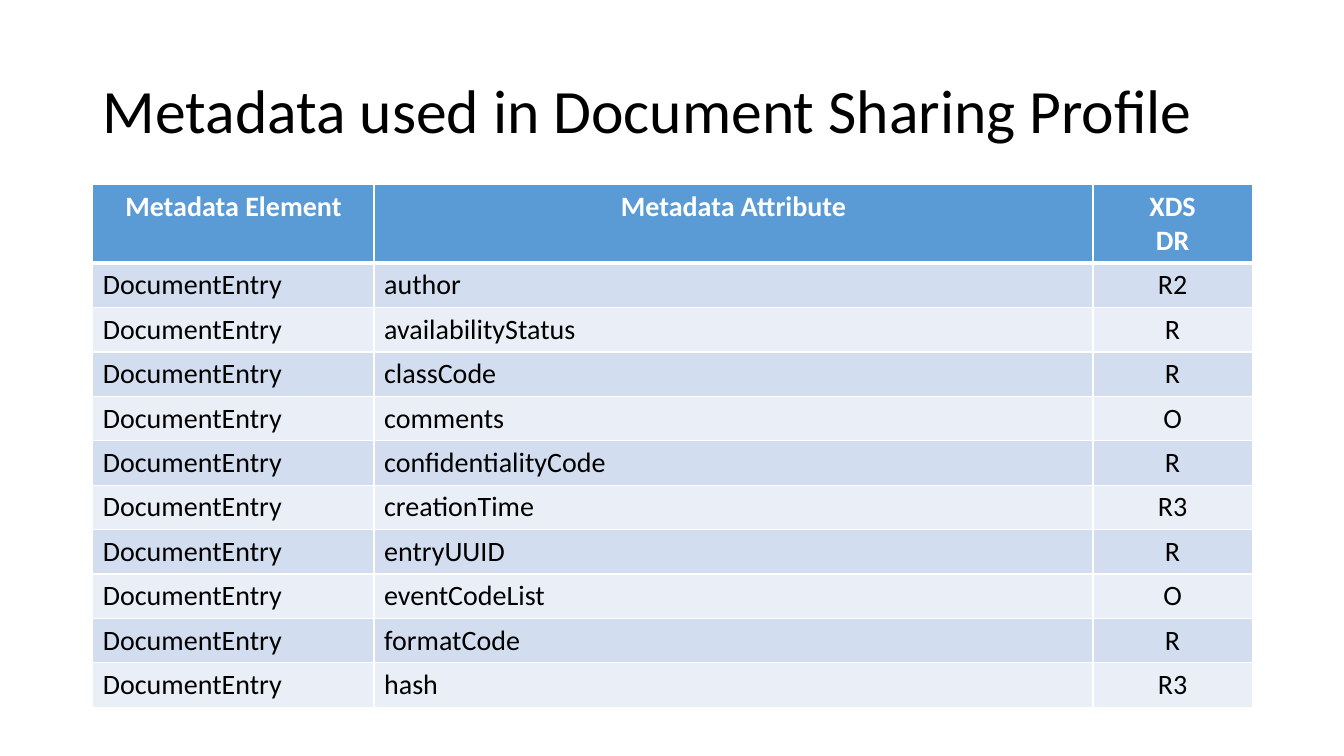
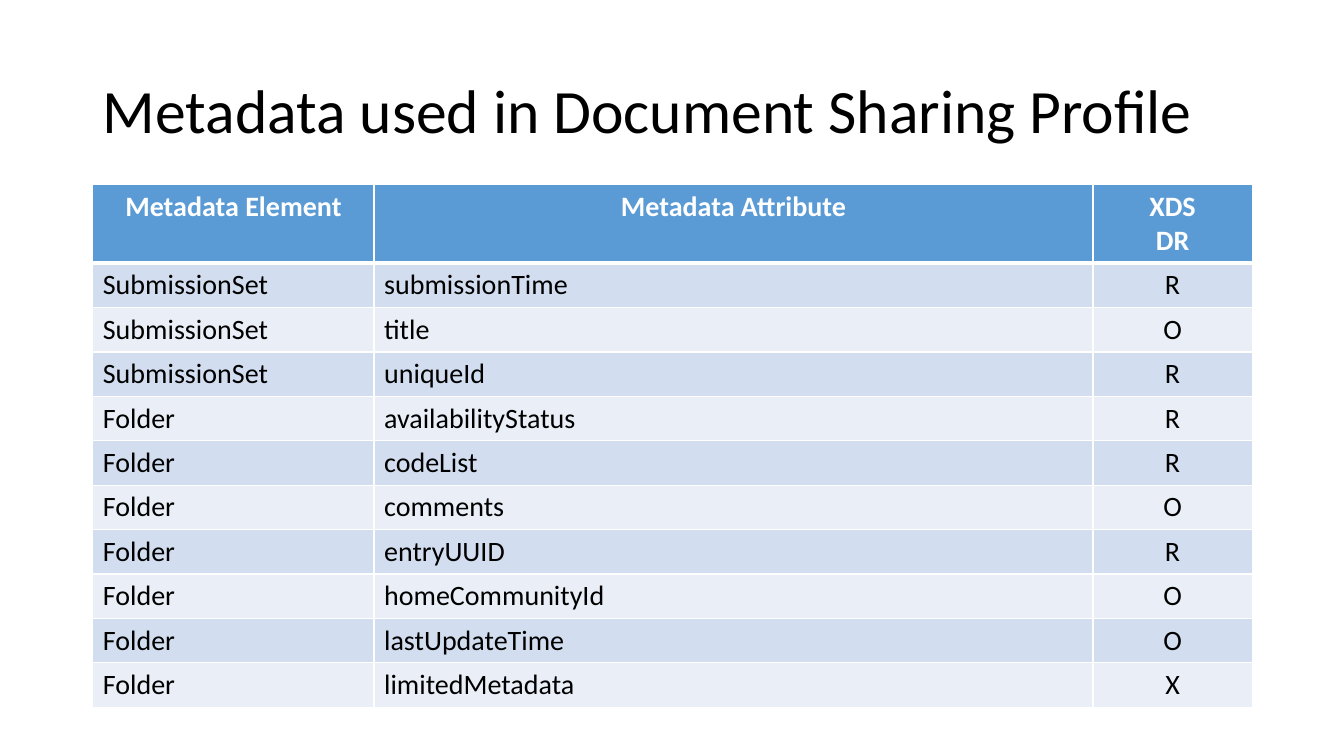
from lxml.etree import SubElement
from pptx import Presentation
from pptx.dml.color import RGBColor
from pptx.enum.text import MSO_ANCHOR, PP_ALIGN
from pptx.oxml.ns import qn
from pptx.util import Inches, Pt

COLORS = {
    "text": "000000",
    "header_text": "FFFFFF",
    "border": "FFFFFF",
    "header": "5B9BD5",
    "band_dark": "D2DEEF",
    "band_light": "EAEFF7",
}
FONT = "Calibri"
TITLE = "Metadata used in Document Sharing Profile"
TITLE_BOX = (0.92, 0.4, 11.5, 1.45)
TABLE_BOX = (0.92, 1.83, 11.5, 5.18)
COLUMN_WIDTHS = (2.79, 7.13, 1.58)
HEADER_HEIGHT = 0.78
HEADINGS = ("Metadata Element", "Metadata Attribute", "XDS\nDR")
THIN, THICK = 1, 3

DOCUMENT_ROWS = [
    ("DocumentEntry", attribute, code)
    for attribute, code in (
        ("author", "R2"),
        ("availabilityStatus", "R"),
        ("classCode", "R"),
        ("comments", "O"),
        ("confidentialityCode", "R"),
        ("creationTime", "R3"),
        ("entryUUID", "R"),
        ("eventCodeList", "O"),
        ("formatCode", "R"),
        ("hash", "R3"),
    )
]
SUBMISSION_AND_FOLDER_ROWS = [
    ("SubmissionSet", "submissionTime", "R"),
    ("SubmissionSet", "title", "O"),
    ("SubmissionSet", "uniqueId", "R"),
    ("Folder", "availabilityStatus", "R"),
    ("Folder", "codeList", "R"),
    ("Folder", "comments", "O"),
    ("Folder", "entryUUID", "R"),
    ("Folder", "homeCommunityId", "O"),
    ("Folder", "lastUpdateTime", "O"),
    ("Folder", "limitedMetadata", "X"),
]


def color(name):
    return RGBColor.from_string(COLORS[name])


def style_para(para, size, color_name, align, bold=False):
    para.alignment = align
    para.font.name = FONT
    para.font.size = Pt(size)
    para.font.bold = bold
    para.font.color.rgb = color(color_name)


def set_borders(cell, top, bottom):
    """Draw all four cell borders; top and bottom are widths in points."""
    properties = cell._tc.get_or_add_tcPr()
    for side, width in (("L", THIN), ("R", THIN), ("T", top), ("B", bottom)):
        line = SubElement(properties, qn(f"a:ln{side}"), w=str(Pt(width)))
        fill = SubElement(line, qn("a:solidFill"))
        SubElement(fill, qn("a:srgbClr"), val=COLORS["border"])


def fill_cell(cell, text, row, column):
    is_header = row == 0
    if is_header:
        background = "header"
    else:
        background = "band_dark" if row % 2 else "band_light"
    set_borders(cell, THICK if row == 1 else THIN, THICK if is_header else THIN)
    cell.fill.solid()
    cell.fill.fore_color.rgb = color(background)
    cell.text = text
    centred = is_header or column == len(COLUMN_WIDTHS) - 1
    for para in cell.text_frame.paragraphs:
        style_para(para, 20, "header_text" if is_header else "text",
                   PP_ALIGN.CENTER if centred else PP_ALIGN.LEFT, is_header)


def add_metadata_table(page, box, body_rows):
    rows = [HEADINGS, *body_rows]
    frame = page.shapes.add_table(len(rows), len(HEADINGS), *map(Inches, box))
    table = frame.table
    for column, width in zip(table.columns, COLUMN_WIDTHS):
        column.width = Inches(width)
    body_height = (box[3] - HEADER_HEIGHT) / len(body_rows)
    for row, texts in enumerate(rows):
        table.rows[row].height = Inches(body_height if row else HEADER_HEIGHT)
        for column, text in enumerate(texts):
            fill_cell(table.cell(row, column), text, row, column)


def set_title(page, box, text):
    title = page.shapes.title
    title.left, title.top, title.width, title.height = map(Inches, box)
    title.text_frame.text = text
    title.text_frame.vertical_anchor = MSO_ANCHOR.MIDDLE
    para = title.text_frame.paragraphs[0]
    style_para(para, 44, "text", PP_ALIGN.LEFT)
    para.line_spacing = 0.9


def add_metadata_slide(deck, body_rows):
    page = deck.slides.add_slide(deck.slide_layouts.get_by_name("Title Only"))
    set_title(page, TITLE_BOX, TITLE)
    add_metadata_table(page, TABLE_BOX, body_rows)


def main():
    deck = Presentation()
    deck.slide_width, deck.slide_height = Inches(13.33), Inches(7.5)
    for body_rows in (DOCUMENT_ROWS, SUBMISSION_AND_FOLDER_ROWS):
        add_metadata_slide(deck, body_rows)
    deck.save("out.pptx")


if __name__ == "__main__":
    main()
